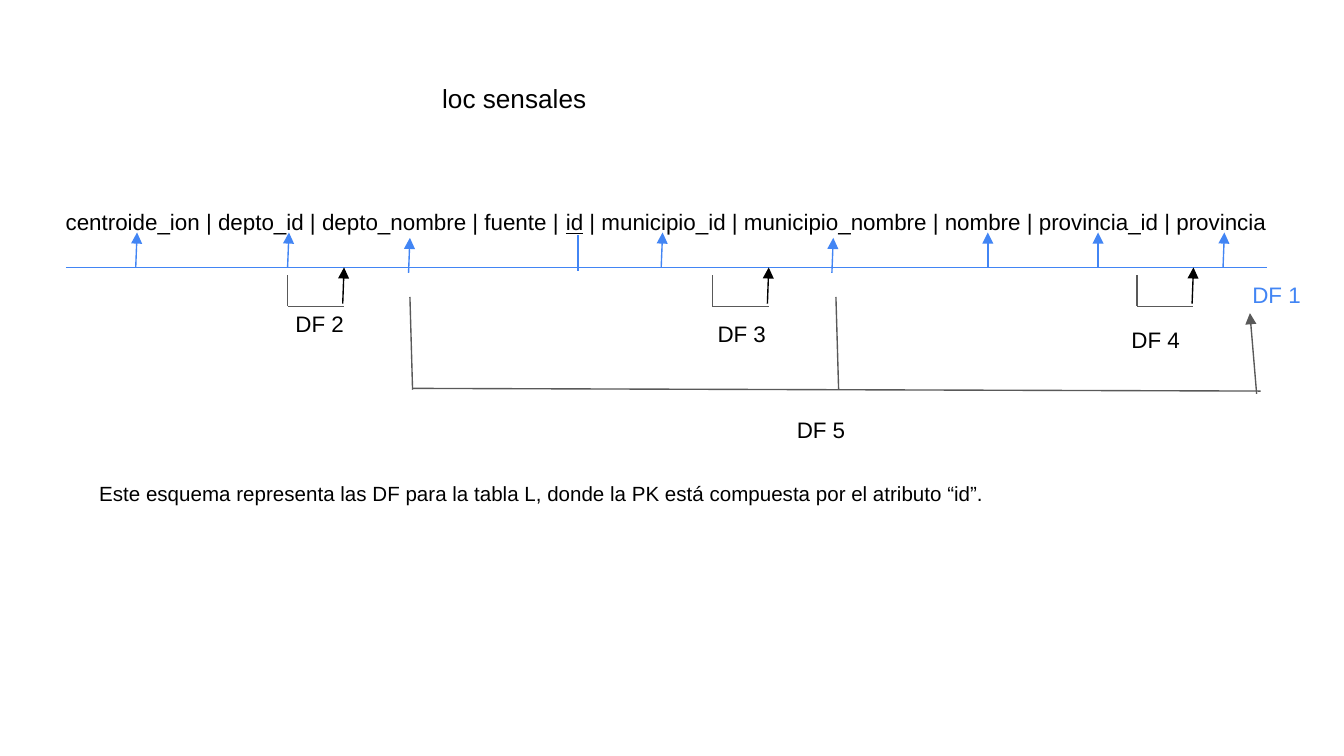
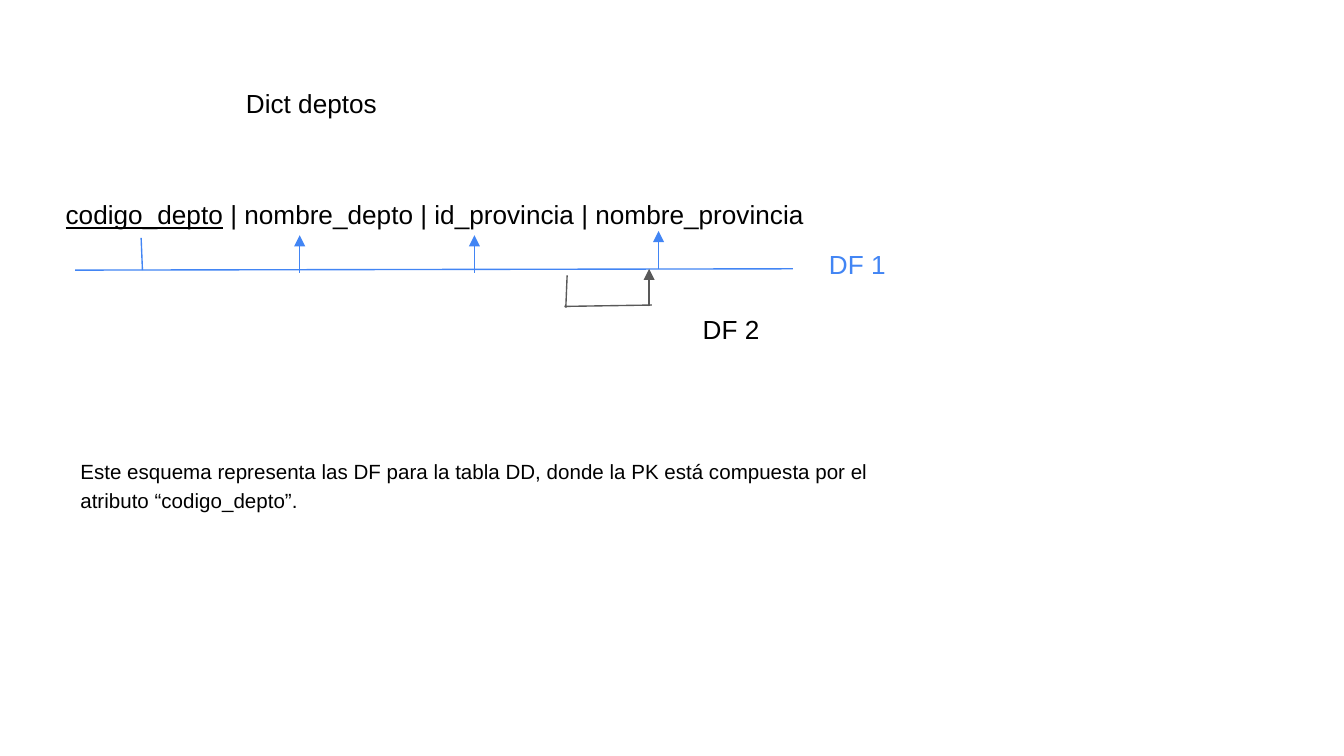
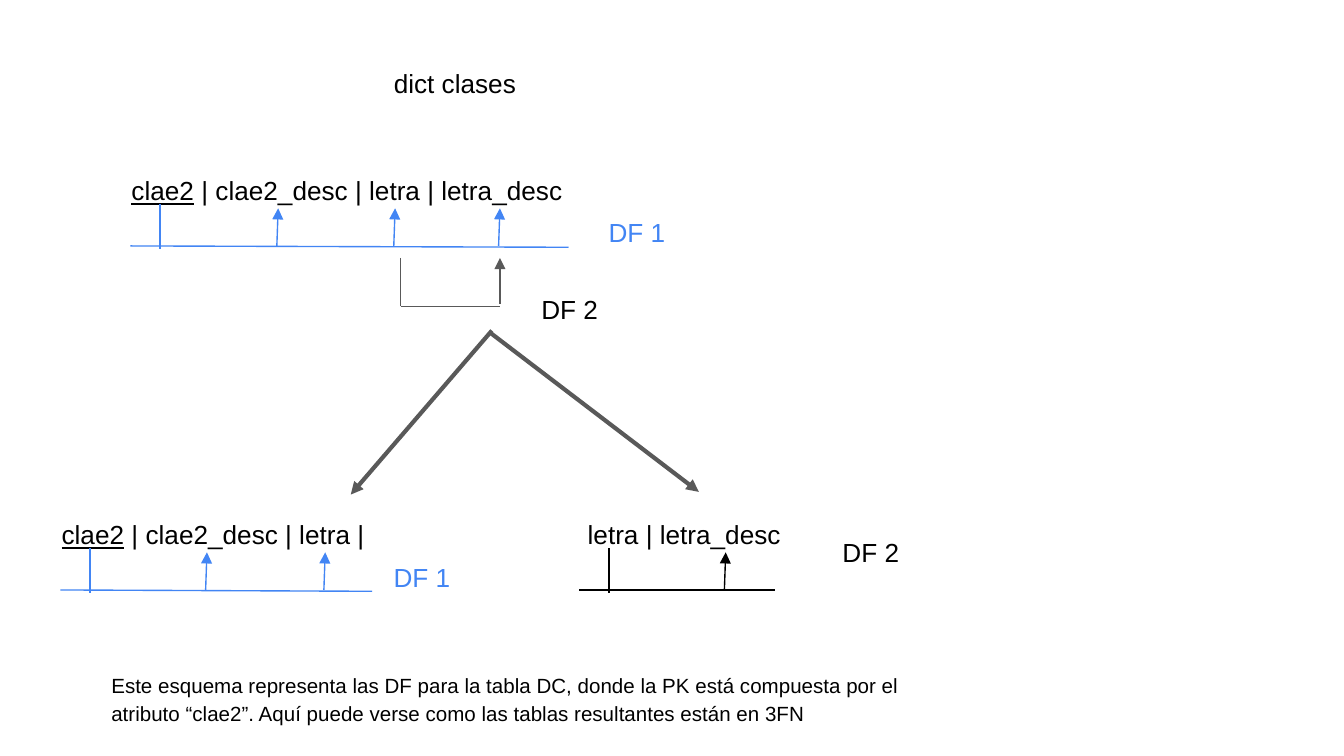
from pptx import Presentation
from pptx.dml.color import RGBColor
from pptx.enum.shapes import MSO_CONNECTOR as Connector
from pptx.enum.text import MSO_ANCHOR as Anchor, MSO_AUTO_SIZE as AutoSize, PP_ALIGN as Align
from pptx.oxml.ns import qn
from pptx.util import Inches, Pt
from lxml.etree import SubElement

COLORS = {"text": "000000", "key": "4285F4", "partial": "595959"}
FONT = "Arial"
INSET = 0.1
TITLE_ONLY = 5


def write(frame, text, size=14, color="text", spacing=1.0):
    """Fill a text frame with one paragraph; *words* in asterisks are underlined."""
    frame.word_wrap = True
    frame.auto_size = AutoSize.SHAPE_TO_FIT_TEXT
    frame.vertical_anchor = Anchor.TOP
    frame.margin_left = frame.margin_right = Inches(INSET)
    frame.margin_top = frame.margin_bottom = Inches(INSET)
    para = frame.paragraphs[0]
    para.alignment = Align.LEFT
    para.line_spacing = spacing
    for number, part in enumerate(text.split("*")):
        if part:
            span = para.add_run()
            span.text = part
            span.font.name = FONT
            span.font.size = Pt(size)
            span.font.color.rgb = RGBColor.from_string(COLORS[color])
            span.font.underline = number % 2 == 1


class DependencyDeck:
    """Draws functional dependency diagrams, one slide at a time."""

    def __init__(self):
        """Open an empty 16:9 deck."""
        self.deck = Presentation()
        self.deck.slide_width = Inches(10)
        self.deck.slide_height = Inches(10 * 9 / 16)
        self.page = None

    def new_page(self, title, left, top, width=4.45):
        """Start a slide and place its title."""
        self.page = self.deck.slides.add_slide(self.deck.slide_layouts[TITLE_ONLY])
        box = self.page.shapes.title
        box.left, box.top = Inches(left), Inches(top)
        box.width, box.height = Inches(width), Inches(0.44)
        write(box.text_frame, title)

    def text(self, text, left, top, width, height=0.44, **style):
        """Add a text box."""
        box = self.page.shapes.add_textbox(
            Inches(left), Inches(top), Inches(width), Inches(height))
        write(box.text_frame, text, **style)

    def caption(self, text, left, top, width, height=0.6):
        """Add the explanation below a diagram."""
        self.text(text, left, top, width, height, size=11, spacing=1.15)

    def line(self, start, end, color="partial", width=0.75, arrow=False):
        """Draw a straight line, with an arrowhead at its end if asked."""
        link = self.page.shapes.add_connector(
            Connector.STRAIGHT, *(Inches(value) for value in (*start, *end)))
        link.line.color.rgb = RGBColor.from_string(COLORS[color])
        link.line.width = Pt(width)
        if arrow:
            SubElement(link.line._get_or_add_ln(), qn("a:tailEnd"), type="triangle")
        SubElement(link._element.spPr, qn("a:effectLst"))

    def arrows(self, places, bottom, top, color="key", lean=0.01):
        """Draw upward arrows at the given horizontal places."""
        for place in places:
            self.line((place, bottom), (place + lean, top), color, arrow=True)

    def bracket(self, left, right, top, bottom, tip, color="partial", lean=0.0):
        """Join two attributes from below, the arrow pointing at the right one."""
        self.line((left, top), (left, bottom))
        self.line((left, bottom), (right, bottom))
        self.arrows([right - lean], bottom - 0.02, tip, color, lean)

    def relation(self, left, base, width, targets, drop=0.01, color="key"):
        """Draw a base line with the stem of its key and arrows to its targets."""
        self.line((left, base), (left + width, base + drop), color)
        stem = left + 0.22
        self.line((stem, base - 0.31), (stem, base + 0.02), color)
        self.arrows(targets, base, base - 0.28, color)


def locations(deck):
    """Draw the table of locations."""
    deck.new_page("loc sensales", 3.19, 0.51)
    deck.text("centroide_ion | depto_id | depto_nombre | fuente | *id* | municipio_id | "
              "municipio_nombre | nombre | provincia_id | provincia",
              0.39, 1.45, 9.27, 0.4, size=12)
    base = 1.99
    deck.line((0.49, base), (9.43, base), "key")
    deck.line((4.3, 1.75), (4.3, 2.02), "key", 1.5)
    deck.arrows([1.01, 2.14, 4.92, 9.1], base, 1.73)
    deck.arrows([7.35, 8.17], base, 1.73, lean=0)
    deck.arrows([3.04, 6.19], 2.03, 1.77)
    for number in range(3):
        left = 2.14 + 3.16 * number
        deck.bracket(left, left + 0.42, 2.05, 2.28, base, "text", 0.01)

    for name, left, top, width, color in (
            ("DF 1", 9.22, 1.99, 0.66, "key"),
            ("DF 2", 2.1, 2.21, 1.89, "text"),
            ("DF 3", 5.24, 2.28, 1.22, "text"),
            ("DF 4", 8.32, 2.33, 0.7, "text"),
            ("DF 5", 5.83, 3, 1.42, "text")):
        deck.text(name, left, top, width, 0.4, size=12, color=color)

    for place in (3.05, 6.22):
        deck.line((place, 2.21), (place + 0.02, 2.9))
    deck.line((3.07, 2.89), (9.38, 2.91))
    deck.line((9.35, 2.93), (9.3, 2.33), arrow=True)
    deck.caption("Este esquema representa las DF para la tabla L, donde la PK está "
                 "compuesta por el atributo “id”.", 0.64, 3.45, 7.27, 0.39)


def departments(deck):
    """Draw the dictionary of departments."""
    deck.new_page("Dict deptos", 1.73, 0.55)
    deck.text("*codigo_depto* | nombre_depto | id_provincia | nombre_provincia",
              0.39, 1.38, 9.39)
    deck.line((0.56, 2.01), (5.9, 2), "key")
    deck.line((1.06, 2.01), (1.05, 1.77), "key")
    deck.arrows([2.23, 3.53], 2.03, 1.75, lean=0)
    deck.arrows([4.9], 2, 1.72, lean=0)
    deck.line((4.21, 2.29), (4.22, 2.05))
    deck.line((4.85, 2.27), (4.2, 2.28))
    deck.arrows([4.83], 2.28, 2, "partial", lean=0)
    deck.text("DF 1", 6.07, 1.75, 1.07, color="key")
    deck.text("DF 2", 5.13, 2.23, 0.88)
    deck.caption("Este esquema representa las DF para la tabla DD, donde la PK está "
                 "compuesta por el atributo “codigo_depto”.", 0.5, 3.29, 6.56)


def classes(deck):
    """Draw the dictionary of classes and the two tables it splits into."""
    deck.new_page("dict clases", 2.83, 0.4, 3.43)
    deck.text("*clae2* | clae2_desc | letra | letra_desc", 0.88, 1.2, 4.45)
    deck.relation(0.97, 1.83, 3.26, [2.06, 2.93, 3.71])
    deck.bracket(2.98, 3.72, 1.92, 2.28, 1.92)
    deck.text("DF 1", 4.43, 1.51, 1.06, color="key")
    deck.text("DF 2", 3.93, 2.08, 1)

    deck.line((3.66, 2.46), (2.61, 3.68), width=2.25, arrow=True)
    deck.line((3.64, 2.47), (5.2, 3.66), width=2.25, arrow=True)

    deck.text("*clae2* | clae2_desc | letra |", 0.36, 3.76, 4.45)
    deck.relation(0.45, 4.39, 2.32, [1.53, 2.41])
    deck.text("DF 1", 2.83, 4.08, 1.06, color="key")

    deck.text(" letra | letra_desc", 4.22, 3.76, 4.45)
    deck.relation(4.31, 4.39, 1.46, [5.39], drop=0, color="text")
    deck.text("DF 2", 6.17, 3.89, 1.06)
    deck.caption("Este esquema representa las DF para la tabla DC, donde la PK está "
                 "compuesta por el atributo “clae2”. Aquí puede verse como las tablas "
                 "resultantes están en 3FN", 0.73, 4.88, 6.08)


def main():
    """Build the slides and save the deck."""
    deck = DependencyDeck()
    locations(deck)
    departments(deck)
    classes(deck)
    deck.deck.save("out.pptx")


main()
